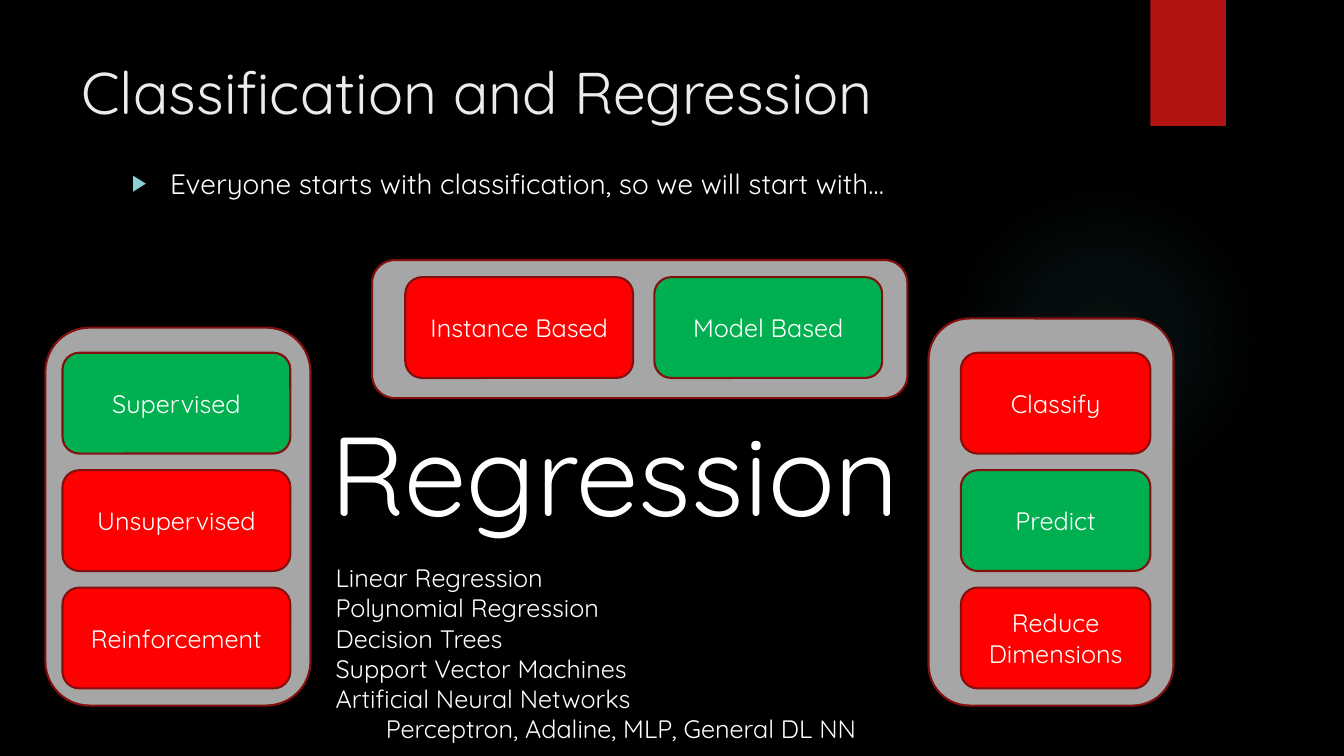
from lxml import etree
from pptx import Presentation
from pptx.dml.color import RGBColor
from pptx.enum.shapes import MSO_SHAPE as Shape
from pptx.enum.text import MSO_ANCHOR as Anchor, PP_ALIGN as Align
from pptx.oxml import parse_xml
from pptx.oxml.ns import nsdecls, qn
from pptx.util import Inches, Pt

COLORS = {
    "background": "000000",
    "text": "FFFFFF",
    "title": "EBEBEB",
    "bullet": "8AD0D6",
    "glow": "50B9C1",
    "ribbon": "B01513",
    "outline": "82100E",
    "panel": "A6A6A6",
    "chosen": "00B050",
    "other": "FF0000",
}
FONT = "Quicksand"
ROW_TOP, ROW_STEP = 3.5, 1.165
COLUMN_LEFT, COLUMN_STEP = 4.02, 2.47
CHIP_WIDTH, TASK_WIDTH, CHIP_HEIGHT = 2.26, 1.88, 1


def rgb(name):
    return RGBColor.from_string(COLORS[name])


class SlideBuilder:
    """Holds the page and draws each kind of element in the slide's style."""

    def __init__(self, page):
        self.page = page
        page.background.fill.solid()
        page.background.fill.fore_color.rgb = rgb("background")

    def style(self, para, size, color="text", align=Align.LEFT):
        para.alignment = align
        para.font.name = FONT
        para.font.size = Pt(size)
        para.font.color.rgb = rgb(color)

    def shape(self, kind, left, top, width, height, fill, outlined=True):
        box = self.page.shapes.add_shape(
            kind, Inches(left), Inches(top), Inches(width), Inches(height))
        box.shadow.inherit = False
        box.fill.solid()
        box.fill.fore_color.rgb = rgb(fill)
        if outlined:
            box.line.color.rgb = rgb("outline")
            box.line.width = Pt(1.5)
        else:
            box.line.fill.background()
        return box

    def glow(self, left, top, size):
        """Faint circle that fades out from its centre."""
        circle = self.shape(Shape.OVAL, left, top, size, size, "glow", outlined=False)
        stops = "".join(
            f'<a:gs pos="{place * 1000}"><a:srgbClr val="{COLORS["glow"]}">'
            f'<a:alpha val="{alpha * 1000}"/></a:srgbClr></a:gs>'
            for place, alpha in ((0, 7), (36, 6), (69, 0)))
        gradient = parse_xml(
            f'<a:gradFill {nsdecls("a")}><a:gsLst>{stops}</a:gsLst><a:path path="circle">'
            '<a:fillToRect l="50000" t="50000" r="50000" b="50000"/></a:path></a:gradFill>')
        properties = circle.element.spPr
        properties.replace(properties.find(qn("a:solidFill")), gradient)

    def panel(self, left, top, width, height):
        self.shape(Shape.ROUNDED_RECTANGLE, left, top, width, height, "panel")

    def chip(self, label, left, top, width, chosen):
        box = self.shape(Shape.ROUNDED_RECTANGLE, left, top, width, CHIP_HEIGHT,
                         "chosen" if chosen else "other")
        box.text_frame.word_wrap = True
        box.text_frame.vertical_anchor = Anchor.MIDDLE
        para = box.text_frame.paragraphs[0]
        para.text = label
        self.style(para, 18, align=Align.CENTER)

    def text(self, lines, left, top, width, height, size, color="text", align=Align.LEFT):
        """Text box with one paragraph per line; returns the paragraphs."""
        box = self.page.shapes.add_textbox(
            Inches(left), Inches(top), Inches(width), Inches(height))
        frame = box.text_frame
        frame.word_wrap = True
        frame.text = "\n".join(lines)
        for para in frame.paragraphs:
            self.style(para, size, color, align)
        return frame.paragraphs

    def indent(self, para, left, first=0):
        properties = para._p.get_or_add_pPr()
        properties.set("marL", str(Inches(left)))
        properties.set("indent", str(Inches(first)))
        return properties

    def bullet(self, para):
        properties = self.indent(para, 0.38, -0.38)
        marks = parse_xml(
            f'<a:pPr {nsdecls("a")}><a:buClr><a:srgbClr val="{COLORS["bullet"]}"/></a:buClr>'
            '<a:buSzPct val="80000"/><a:buFont typeface="Arial"/><a:buChar char="▶"/></a:pPr>')
        for place, mark in enumerate(list(marks)):
            properties.insert(place, mark)
        etree.cleanup_namespaces(properties)


def main():
    deck = Presentation()
    deck.slide_width, deck.slide_height = Inches(13.33), Inches(7.5)
    slide = SlideBuilder(deck.slides.add_slide(deck.slide_layouts[6]))

    slide.glow(9.41, 1.83, 3.08)
    slide.shape(Shape.RECTANGLE, 11.41, 0, 0.75, 1.25, "ribbon", outlined=False)
    slide.panel(9.21, 3.16, 2.43, 3.84)
    slide.panel(3.69, 2.58, 5.31, 1.37)
    slide.panel(0.45, 3.25, 2.63, 3.75)

    slide.text(["Classification and Regression"], 0.71, 0.5, 10.29, 0.96, 42, "title")
    intro = slide.text(["Everyone starts with classification, so we will start with…"],
                       1.21, 1.6, 9.78, 0.5, 20)
    slide.bullet(intro[0])
    slide.text(["Regression"], 1.21, 3.96, 9.78, 1.49, 80, align=Align.CENTER)

    chip_columns = (
        (0.62, CHIP_WIDTH, ("Supervised", "Unsupervised", "Reinforcement"), "Supervised"),
        (9.53, TASK_WIDTH, ("Classify", "Predict", "Reduce Dimensions"), "Predict"),
    )
    for left, width, labels, choice in chip_columns:
        for row, label in enumerate(labels):
            slide.chip(label, left, ROW_TOP + row * ROW_STEP, width, label == choice)
    for column, label in enumerate(("Instance Based", "Model Based")):
        slide.chip(label, COLUMN_LEFT + column * COLUMN_STEP, 2.75, CHIP_WIDTH,
                   label == "Model Based")

    methods = slide.text(
        ["Linear Regression", "Polynomial Regression", "Decision Trees",
         "Support Vector Machines", "Artificial Neural Networks",
         "Perceptron, Adaline, MLP, General DL NN"],
        3.23, 5.53, 5.77, 1.92, 18)
    slide.indent(methods[-1], 0.5)

    deck.save("out.pptx")


if __name__ == "__main__":
    main()
